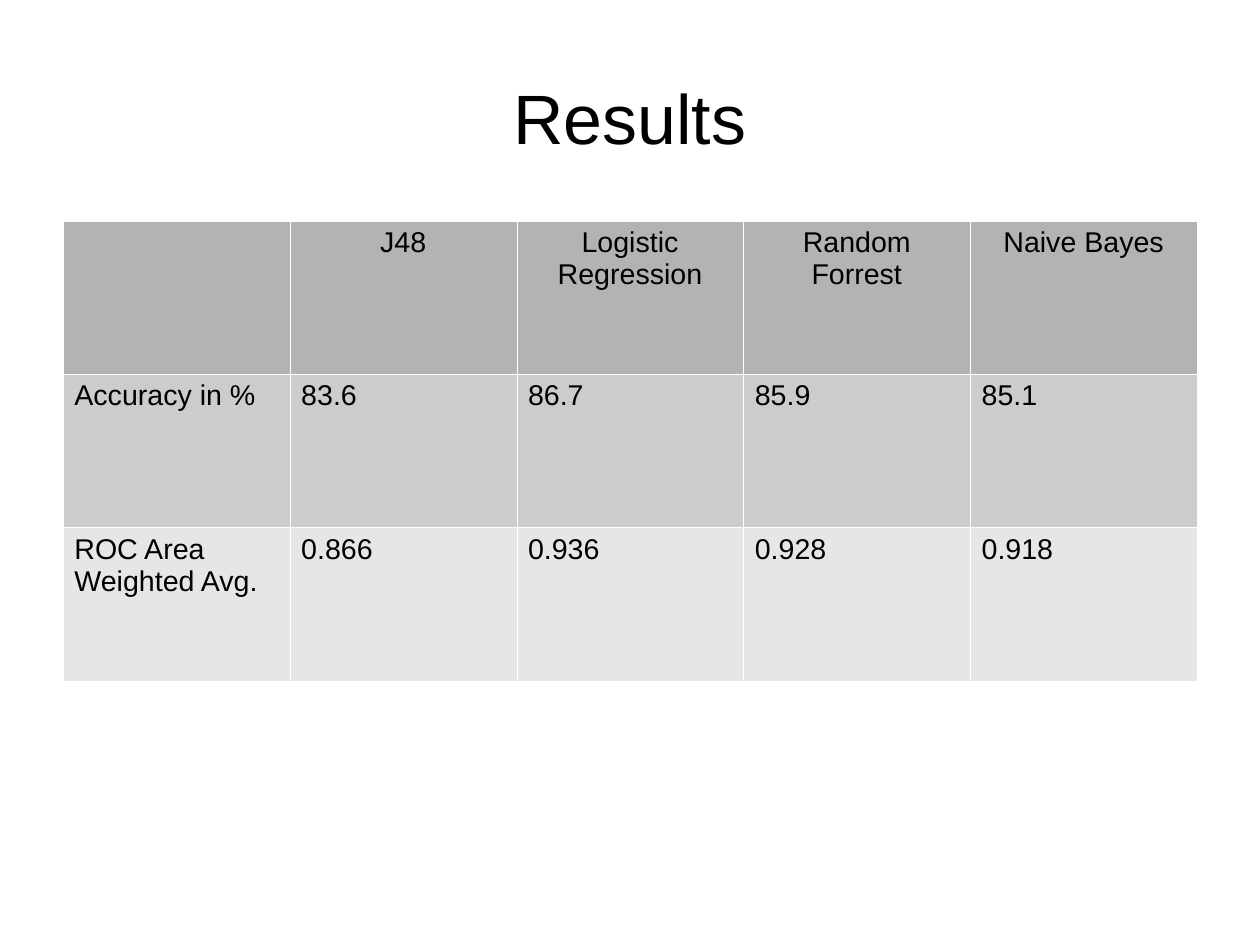
from lxml.etree import SubElement
from pptx import Presentation
from pptx.dml.color import RGBColor
from pptx.enum.text import MSO_ANCHOR, PP_ALIGN
from pptx.oxml.ns import qn
from pptx.util import Cm, Pt

RESULTS = [
    ("B3B3B3", PP_ALIGN.CENTER,
     ["", "J48", "Logistic Regression", "Random Forrest", "Naive Bayes"]),
    ("CCCCCC", PP_ALIGN.LEFT,
     ["Accuracy in %", "83.6", "86.7", "85.9", "85.1"]),
    ("E6E6E6", PP_ALIGN.LEFT,
     ["ROC Area\nWeighted Avg.", "0.866", "0.936", "0.928", "0.918"]),
]


def color(value):
    """Turn a hex string into a colour."""
    return RGBColor.from_string(value)


def write(frame, text, size=18, align=PP_ALIGN.LEFT, fill="000000", font="Arial"):
    """Fill a text frame, one paragraph for each line of text."""
    frame.word_wrap = True
    frame.text = text
    for para in frame.paragraphs:
        para.alignment = align
        para.font.size = Pt(size)
        for span in para.runs:
            span.font.name = font
            span.font.size = Pt(size)
            span.font.bold = False
            span.font.color.rgb = color(fill)


def add_borders(cell, line_color, width):
    """Draw a solid line on all four sides of a cell."""
    properties = cell._tc.get_or_add_tcPr()
    for side in ("lnL", "lnR", "lnT", "lnB"):
        line = SubElement(properties, qn(f"a:{side}"), w=str(int(Pt(width))))
        solid = SubElement(line, qn("a:solidFill"))
        SubElement(solid, qn("a:srgbClr"), val=line_color)


def add_title(page, left, top, width, height, text):
    """Place the centred slide title in the given box."""
    box = page.shapes.add_textbox(Cm(left), Cm(top), Cm(width), Cm(height))
    frame = box.text_frame
    frame.margin_left = frame.margin_right = 0
    frame.margin_top = frame.margin_bottom = 0
    frame.vertical_anchor = MSO_ANCHOR.MIDDLE
    write(frame, text, size=44, align=PP_ALIGN.CENTER)


def add_results(page, left, top, width, height, rows):
    """Place the results table in the given box with equal rows and columns."""
    columns = len(rows[0][2])
    table = page.shapes.add_table(
        len(rows), columns, Cm(left), Cm(top), Cm(width), Cm(height)).table
    table.first_row = table.horz_banding = False
    for column in table.columns:
        column.width = Cm(width / columns)
    for row, (shade, align, texts) in zip(table.rows, rows):
        row.height = Cm(height / len(rows))
        for cell, text in zip(row.cells, texts):
            add_borders(cell, "FFFFFF", 0.06)
            cell.fill.solid()
            cell.fill.fore_color.rgb = color(shade)
            write(cell.text_frame, text, align=align)


def main():
    """Build the results slide and save it."""
    deck = Presentation()
    deck.slide_width, deck.slide_height = Cm(28), Cm(21)
    page = deck.slides.add_slide(deck.slide_layouts[6])
    add_title(page, 1.4, 0.84, 25.2, 3.51, "Results")
    add_results(page, 1.4, 4.91, 25.2, 10.22, RESULTS)
    deck.save("out.pptx")


if __name__ == "__main__":
    main()
